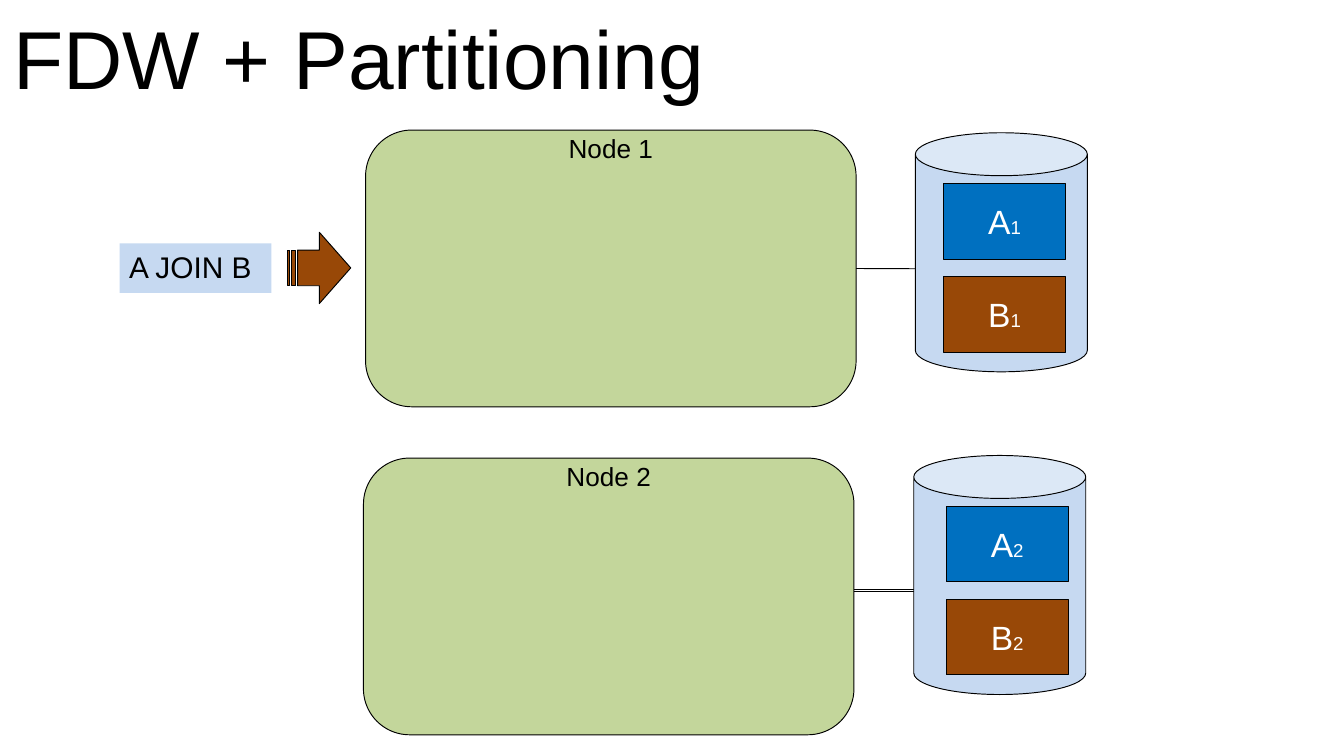
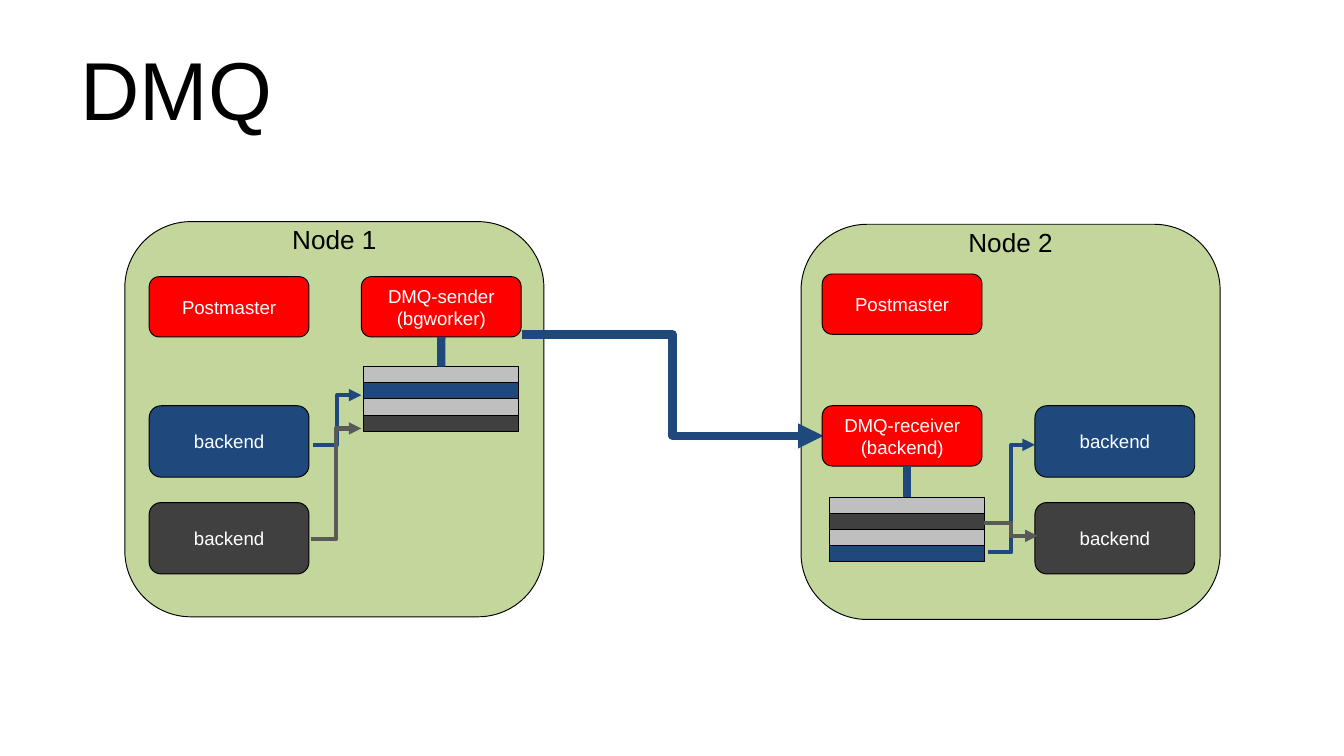
"""Build two slides on distributed queries: partitioned nodes and the message queue."""
from dataclasses import dataclass

from lxml import etree
from pptx import Presentation
from pptx import util as u
from pptx.dml import color
from pptx.enum import shapes, text
from pptx.oxml import ns


@dataclass(frozen=True)
class Theme:
    """Colours, type sizes and line widths shared by the slides."""
    font: str = "Arial"
    black: str = "000000"
    white: str = "FFFFFF"
    node: str = "C3D69B"
    storage: str = "C6D9F1"
    table_a: str = "0070C0"
    table_b: str = "984807"
    process: str = "FF0000"
    blue: str = "1F497D"
    dark: str = "404040"
    light: str = "BFBFBF"
    grey: str = "595959"
    title_size: float = 44
    tile_size: float = 18
    query_size: float = 16
    label_size: float = 14
    small_size: float = 10
    outline: float = 0.5
    arrow: float = 2.25
    pipe: float = 4.5


@dataclass(frozen=True)
class Box:
    """A rectangle measured in centimetres."""
    left: float
    top: float
    width: float
    height: float

    def inner(self, left, top, width, height):
        """Return a box placed relative to this one."""
        return Box(self.left + left, self.top + top, width, height)

    def point(self, left, top):
        """Return a point placed relative to this box."""
        return self.left + left, self.top + top

    def lengths(self):
        """Return the four lengths for python-pptx."""
        return [u.Cm(value) for value in (self.left, self.top, self.width, self.height)]


THEME = Theme()
KIND = shapes.MSO_SHAPE
ROUNDED = KIND.FLOWCHART_ALTERNATE_PROCESS
CENTER = text.PP_ALIGN.CENTER
MIDDLE = text.MSO_ANCHOR.MIDDLE
TOP = text.MSO_ANCHOR.TOP


def rgb(value):
    """Turn a hex string into a colour."""
    return color.RGBColor.from_string(value)


def write(shape, paragraphs, ink, align=CENTER, anchor=MIDDLE, tight=False, spacing=None):
    """Write paragraphs, each a list of (string, size) runs, into a shape."""
    frame = shape.text_frame
    frame.word_wrap = True
    frame.vertical_anchor = anchor
    if tight:
        frame.margin_left = frame.margin_right = u.Cm(0.18)
        frame.margin_top = frame.margin_bottom = u.Cm(0.1)
    for index, runs in enumerate(paragraphs):
        paragraph = frame.add_paragraph() if index else frame.paragraphs[0]
        paragraph.alignment = align
        paragraph.line_spacing = spacing
        for string, size in runs:
            run = paragraph.add_run()
            run.text = string
            run.font.name = THEME.font
            run.font.size = u.Pt(size)
            run.font.color.rgb = rgb(ink)


def add_block(slide, kind, box, fill, outlined=True):
    """Add a flat filled shape."""
    shape = slide.shapes.add_shape(kind, *box.lengths())
    shape.shadow.inherit = False
    shape.fill.solid()
    shape.fill.fore_color.rgb = rgb(fill)
    if outlined:
        shape.line.color.rgb = rgb(THEME.black)
        shape.line.width = u.Pt(THEME.outline)
    else:
        shape.line.fill.background()
    return shape


def add_line(slide, start, end, ink, width, bent=False, arrow=False):
    """Add a straight or bent connector."""
    kind = shapes.MSO_CONNECTOR.ELBOW if bent else shapes.MSO_CONNECTOR.STRAIGHT
    connector = slide.shapes.add_connector(kind, *[u.Cm(value) for value in (*start, *end)])
    connector.line.color.rgb = rgb(ink)
    connector.line.width = u.Pt(width)
    properties = connector._element.spPr
    if arrow:
        etree.SubElement(properties.find(ns.qn("a:ln")), ns.qn("a:tailEnd"), type="triangle")
    etree.SubElement(properties, ns.qn("a:effectLst"))
    return connector


def add_title(slide, box, string):
    """Add the slide title."""
    shape = slide.shapes.add_textbox(*box.lengths())
    write(shape, [[(string, THEME.title_size)]], THEME.black,
          align=text.PP_ALIGN.LEFT, spacing=0.9)


def add_node(slide, box, label):
    """Add a green node with its label along the top."""
    node = add_block(slide, ROUNDED, box, THEME.node)
    caption = slide.shapes.add_textbox(*box.inner(0, -0.06, box.width, 0.66).lengths())
    write(caption, [[(label, THEME.label_size)]], THEME.black, anchor=TOP, tight=True)
    return node


def add_storage(slide, box, number, inset):
    """Add a database cylinder holding one partition of each table."""
    add_block(slide, KIND.CAN, box, THEME.storage)
    for row, (name, fill) in enumerate((("A", THEME.table_a), ("B", THEME.table_b))):
        tile = add_block(slide, KIND.RECTANGLE,
                         box.inner(inset, 0.96 + row * 1.76, 2.31, 1.43), fill)
        write(tile, [[(name, THEME.tile_size), (number, THEME.small_size)]], THEME.white)


def add_query(slide, box):
    """Add the query and the arrow that sends it to the node."""
    query = add_block(slide, KIND.RECTANGLE, box.inner(0, 0.21, 2.87, 0.94),
                      THEME.storage, outlined=False)
    write(query, [[("A JOIN B ", THEME.query_size)]], THEME.black,
          align=text.PP_ALIGN.LEFT, anchor=TOP, tight=True)
    add_block(slide, KIND.STRIPED_RIGHT_ARROW,
              box.inner(box.width - 1.19, 0, 1.19, box.height), THEME.table_b)


def add_process(slide, box, fill, *lines):
    """Add a rounded process with white text, one paragraph a line."""
    process = add_block(slide, ROUNDED, box, fill)
    write(process, [[(line, THEME.small_size)] for line in lines], THEME.white)
    return process


def add_backends(slide, box):
    """Add the blue and the dark backend, one above the other."""
    for row, fill in enumerate((THEME.blue, THEME.dark)):
        add_process(slide, box.inner(0, row * 1.83, box.width, 1.35), fill, "backend")


def add_queue(slide, box, fills):
    """Add a stack of equal message rows and return the top one."""
    height = box.height / len(fills)
    rows = [add_block(slide, KIND.RECTANGLE,
                      box.inner(0, index * height, box.width, height), fill)
            for index, fill in enumerate(fills)]
    return rows[0]


def add_routes(slide, box, routes):
    """Add bent arrows between backends and queue rows."""
    for start, end, ink in routes:
        add_line(slide, box.point(*start), box.point(*end), ink, THEME.arrow,
                 bent=True, arrow=True)


def fill_sender(slide, box):
    """Place the processes and outgoing queue of the sending node."""
    add_process(slide, box.inner(0.46, 1.04, 3.02, 1.14), THEME.process, "Postmaster")
    sender = add_process(slide, box.inner(4.47, 1.04, 3.02, 1.14), THEME.process,
                         "DMQ-sender", "(bgworker)")
    add_backends(slide, box.inner(0.46, 3.48, 3.02, 3.18))
    first_row = add_queue(slide, box.inner(4.51, 2.74, 2.94, 1.22),
                          (THEME.light, THEME.blue, THEME.light, THEME.dark))
    pipe = add_line(slide, box.point(5.98, 2.18), box.point(5.98, 2.74),
                    THEME.blue, THEME.pipe)
    pipe.begin_connect(sender, 2)
    pipe.end_connect(first_row, 0)
    add_routes(slide, box, (((3.56, 4.22), (4.47, 3.28), THEME.blue),
                            ((3.51, 6.0), (4.47, 3.91), THEME.grey)))


def fill_receiver(slide, box):
    """Place the processes and incoming queue of the receiving node."""
    add_process(slide, box.inner(0.4, 0.94, 3.02, 1.14), THEME.process, "Postmaster")
    add_process(slide, box.inner(0.4, 3.43, 3.02, 1.14), THEME.process,
                "DMQ-receiver", "(backend)")
    add_backends(slide, box.inner(4.42, 3.43, 3.02, 3.18))
    first_row = add_queue(slide, box.inner(0.53, 5.16, 2.94, 1.22),
                          (THEME.light, THEME.dark, THEME.light, THEME.blue))
    pipe = add_line(slide, box.point(2.0, 4.57), box.point(2.0, 5.16),
                    THEME.blue, THEME.pipe)
    pipe.end_connect(first_row, 0)
    add_routes(slide, box, (((3.53, 6.2), (4.42, 4.17), THEME.blue),
                            ((3.45, 5.64), (4.47, 5.89), THEME.grey)))


def build_partitioning(slide):
    """Build the slide on foreign data wrappers with partitioning."""
    add_title(slide, Box(0, 0, 22.86, 2.39), "FDW + Partitioning")
    node = add_node(slide, Box(6.91, 2.46, 9.27, 5.23), "Node 1")
    add_node(slide, Box(6.87, 8.66, 9.27, 5.23), "Node 2")
    link = add_line(slide, (16.18, 5.08), (17.3, 5.08), THEME.black, THEME.outline)
    link.begin_connect(node, 3)
    for top in (11.15, 11.18):
        add_line(slide, (16.14, top), (17.27, top), THEME.black, THEME.outline)
    add_storage(slide, Box(17.3, 2.51, 3.25, 4.52), "1", 0.53)
    add_storage(slide, Box(17.27, 8.61, 3.25, 4.52), "2", 0.61)
    add_query(slide, Box(2.26, 4.39, 4.37, 1.35))


def build_queue(slide):
    """Build the slide on the distributed message queue."""
    sender = Box(2.36, 4.19, 7.92, 7.47)
    receiver = Box(15.14, 4.24, 7.92, 7.47)
    add_title(slide, Box(1.27, 0.58, 22.86, 2.39), "DMQ")
    add_node(slide, sender, "Node 1")
    add_node(slide, receiver, "Node 2")
    add_line(slide, sender.point(7.5, 2.13), receiver.point(0.42, 4.0),
             THEME.blue, THEME.pipe, bent=True, arrow=True)
    fill_sender(slide, sender)
    fill_receiver(slide, receiver)


def main():
    """Build and save the presentation."""
    presentation = Presentation()
    presentation.slide_width = u.Cm(25.4)
    presentation.slide_height = u.Cm(14.29)
    for build in (build_partitioning, build_queue):
        build(presentation.slides.add_slide(presentation.slide_layouts[6]))
    presentation.save("out.pptx")


if __name__ == "__main__":
    main()
